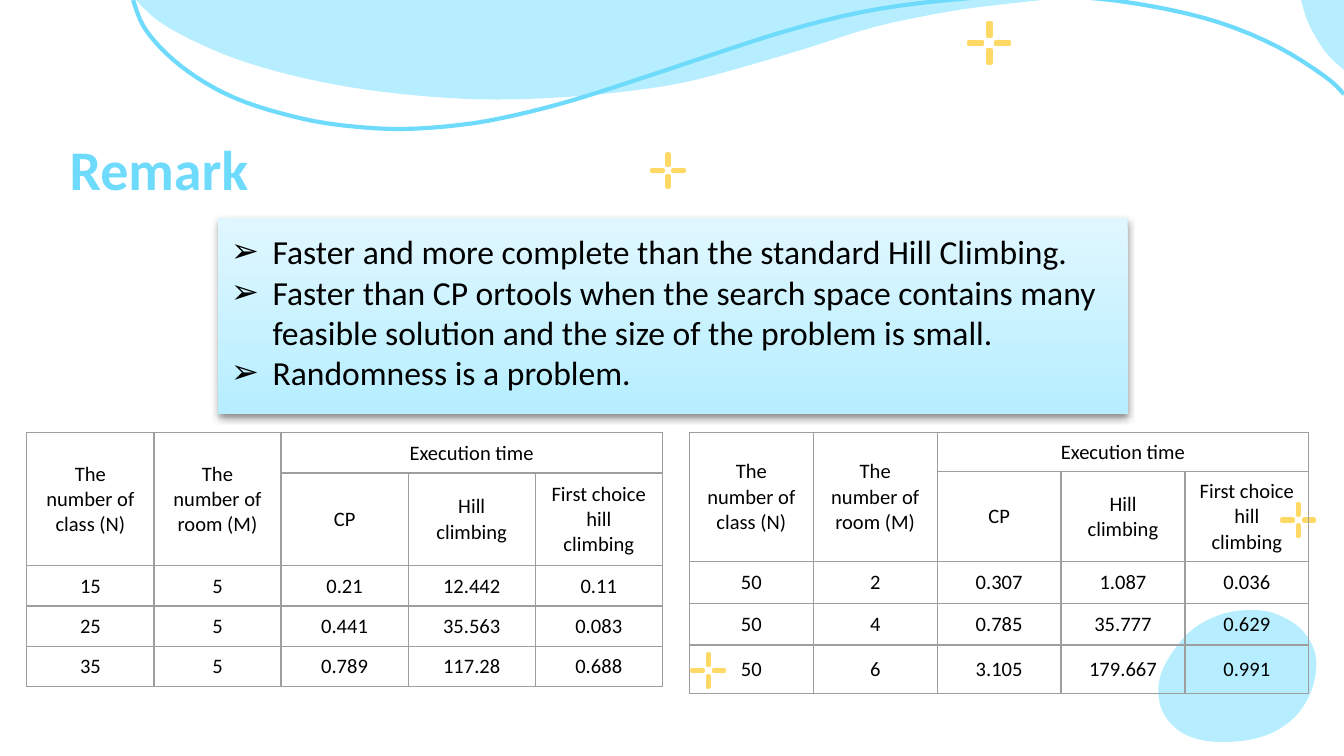
"""Build the "Remark" slide: key findings above two execution-time tables."""
from dataclasses import dataclass

import lxml.etree
import pptx
import pptx.dml.color
import pptx.enum.shapes
import pptx.enum.text
import pptx.oxml
import pptx.oxml.ns
import pptx.util

Inches = pptx.util.Inches
Pt = pptx.util.Pt
qn = pptx.oxml.ns.qn
MIDDLE = pptx.enum.text.MSO_ANCHOR.MIDDLE
CENTER = pptx.enum.text.PP_ALIGN.CENTER
RECTANGLE = pptx.enum.shapes.MSO_SHAPE.RECTANGLE
NS = 'xmlns:a="http://schemas.openxmlformats.org/drawingml/2006/main"'
Points = list[tuple[float, float]]
FONT, PALE, SKY, YELLOW = "Calibri", "B6EEFF", "6EDBFC", "FFD966"


@dataclass
class Sparkle:
    x: float
    y: float
    inner: float
    outer: float
    thickness: float


@dataclass
class TimeTable:
    left: float
    width: float
    row_heights: list[float]
    rows: list[list[str]]


CORNER = [(9.68, 0), (9.73, 0.16), (9.81, 0.31), (9.89, 0.42), (10, 0.52)]
BAND = [(1.01, 0), (1.17, 0.15), (1.41, 0.29), (1.76, 0.44), (2.17, 0.56), (2.61, 0.65),
        (3.09, 0.71), (3.58, 0.74), (4.08, 0.73), (4.58, 0.69), (5.06, 0.62), (5.49, 0.51),
        (6, 0.36), (6.51, 0.2), (7.04, 0.09), (7.4, 0.04), (7.76, 0)]
WAVE = [(0.99, 0), (1.07, 0.2), (1.24, 0.4), (1.47, 0.58), (1.75, 0.73), (2.08, 0.84),
        (2.45, 0.92), (2.94, 0.96), (3.42, 0.93), (3.82, 0.86), (4.28, 0.74), (4.84, 0.56),
        (5.29, 0.41), (5.85, 0.23), (6.41, 0.09), (6.96, 0.01), (7.52, -0.03),
        (8.06, -0.02), (8.59, 0.05), (9.08, 0.17), (9.51, 0.35), (9.86, 0.57), (10, 0.7)]
BLOB = [(9.47, 4.56), (9.28, 4.54), (9.09, 4.57), (8.89, 4.67), (8.74, 4.83), (8.64, 5.01),
        (8.62, 5.18), (8.67, 5.33), (8.79, 5.45), (8.96, 5.51), (9.14, 5.52), (9.32, 5.5),
        (9.49, 5.44), (9.64, 5.33), (9.74, 5.18), (9.79, 5.01), (9.78, 4.84), (9.67, 4.67)]
SPARKLES = [Sparkle(7.36, 0.32, 0.05, 0.15, 0.02)] + [
    Sparkle(x, y, 0.04, 0.12, 0.01) for x, y in [(4.97, 1.27), (5.27, 4.99), (9.66, 3.87)]]
REMARKS = [
    "Faster and more complete than the standard Hill Climbing.",
    "Faster than CP ortools when the search space contains many feasible solution "
    "and the size of the problem is small.",
    "Randomness is a problem.",
]
HEADER = [["The number of class (N)", "The number of room (M)", "Execution time", "", ""],
          ["", "", "CP", "Hill climbing", "First choice hill climbing"]]
TABLES = [
    TimeTable(0.2, 4.73, [0.3, 0.69, 0.3, 0.3, 0.3],
              [["15", "5", "0.21", "12.442", "0.11"],
               ["25", "5", "0.441", "35.563", "0.083"],
               ["35", "5", "0.789", "117.28", "0.688"]]),
    TimeTable(5.13, 4.61, [0.29, 0.67, 0.31, 0.31, 0.36],
              [["50", "2", "0.307", "1.087", "0.036"],
               ["50", "4", "0.785", "35.777", "0.629"],
               ["50", "6", "3.105", "179.667", "0.991"]]),
]


def rgb(value: str) -> pptx.dml.color.RGBColor:
    return pptx.dml.color.RGBColor.from_string(value)


def smooth(points: Points, closed: bool = False, steps: int = 4) -> Points:
    ends = (points[-1:], points[:2]) if closed else (points[:1], points[-1:])
    knots = ends[0] + points + ends[1]
    curve = [points[0]]
    for a, b, c, d in zip(knots, knots[1:], knots[2:], knots[3:]):
        for t in (i / steps for i in range(1, steps + 1)):
            curve.append(tuple(
                b[k] + t * (c[k] - a[k]) / 2
                + t ** 2 * (2 * a[k] - 5 * b[k] + 4 * c[k] - d[k]) / 2
                + t ** 3 * (3 * b[k] - a[k] - 3 * c[k] + d[k]) / 2 for k in (0, 1)))
    return curve


def add_outline(shapes, points: Points, fill: str | None = None, line: str | None = None) -> None:
    (x, y), *rest = [(Inches(px), Inches(py)) for px, py in points]
    builder = shapes.build_freeform(x, y)
    builder.add_line_segments(rest, close=fill is not None)
    paint(builder.convert_to_shape(), fill, line)


def paint(s, fill: str | None, line: str | None) -> None:
    s.shadow.inherit = False
    if fill:
        s.fill.solid()
        s.fill.fore_color.rgb = rgb(fill)
    else:
        s.fill.background()
    if line:
        s.line.color.rgb = rgb(line)
        s.line.width = Pt(2.25)
    else:
        s.line.fill.background()


def add_sparkle(shapes, sparkle: Sparkle) -> None:
    group = shapes.add_group_shape().shapes
    length, half = sparkle.outer - sparkle.inner, sparkle.thickness / 2
    for start in (-sparkle.outer, sparkle.inner):
        for x, y, w, h in [(start, -half, length, 2 * half), (-half, start, 2 * half, length)]:
            s = group.add_shape(RECTANGLE, Inches(sparkle.x + x), Inches(sparkle.y + y),
                                Inches(w), Inches(h))
            paint(s, "FFFFFF", YELLOW)


def format_runs(p, size: float, color: str, bold: bool = False) -> None:
    for r in p.runs:
        r.font.name, r.font.size, r.font.bold = FONT, Pt(size), bold
        r.font.color.rgb = rgb(color)


def set_insets(tf) -> None:
    tf.word_wrap = True
    tf.margin_left = tf.margin_right = tf.margin_top = tf.margin_bottom = Inches(0.1)


def add_title(shapes, text: str) -> None:
    tf = shapes.add_textbox(Inches(0.42), Inches(0.65), Inches(7.76), Inches(0.95)).text_frame
    set_insets(tf)
    tf.vertical_anchor = pptx.enum.text.MSO_ANCHOR.BOTTOM
    tf.text = text
    format_runs(tf.paragraphs[0], 30, SKY, bold=True)


def add_remarks(shapes, remarks: list[str]) -> None:
    s = shapes.add_shape(RECTANGLE, Inches(1.62), Inches(1.62), Inches(6.77), Inches(1.46))
    paint(s, None, None)
    s.fill.gradient()
    s.fill.gradient_angle = 270
    for stop, color in zip(s.fill.gradient_stops, ("E0F7FF", PALE)):
        stop.color.rgb = rgb(color)
    s._element.spPr.find(qn("a:effectLst")).append(pptx.oxml.parse_xml(
        f'<a:outerShdw {NS} blurRad="50000" dist="25000" dir="5400000" rotWithShape="0">'
        '<a:srgbClr val="000000"><a:alpha val="45000"/></a:srgbClr></a:outerShdw>'))
    tf = s.text_frame
    set_insets(tf)
    tf.vertical_anchor = pptx.enum.text.MSO_ANCHOR.TOP
    tf.text = "\n".join(remarks)
    for p in tf.paragraphs:
        p.alignment = pptx.enum.text.PP_ALIGN.LEFT
        format_runs(p, 18, "000000")
        pPr = p._p.get_or_add_pPr()
        pPr.set("marL", str(Inches(0.31)))
        pPr.set("indent", str(Inches(-0.31)))
        color = lxml.etree.SubElement(pPr, qn("a:buClr"))
        lxml.etree.SubElement(color, qn("a:srgbClr"), val="000000")
        lxml.etree.SubElement(pPr, qn("a:buFont"), typeface=FONT)
        lxml.etree.SubElement(pPr, qn("a:buChar"), char="➢")


def format_cell(cell, text: str) -> None:
    cell.text = text
    cell.vertical_anchor = MIDDLE
    cell.fill.background()
    p = cell.text_frame.paragraphs[0]
    p.alignment = CENTER
    format_runs(p, 11, "000000")
    for i, side in enumerate(("lnL", "lnR", "lnT", "lnB")):
        cell._tc.get_or_add_tcPr().insert(i, pptx.oxml.parse_xml(
            f'<a:{side} {NS} w="{Pt(0.75)}"><a:solidFill><a:srgbClr val="9E9E9E"/>'
            f'</a:solidFill></a:{side}>'))


def add_time_table(shapes, spec: TimeTable) -> None:
    rows = HEADER + spec.rows
    table = shapes.add_table(len(rows), len(rows[0]), Inches(spec.left), Inches(3.22),
                             Inches(spec.width), Inches(sum(spec.row_heights))).table
    table.first_row = table.horz_banding = False
    for row, height in zip(table.rows, spec.row_heights):
        row.height = Inches(height)
    for i, texts in enumerate(rows):
        for j, text in enumerate(texts):
            format_cell(table.cell(i, j), text)
    for first, last in [((0, 0), (1, 0)), ((0, 1), (1, 1)), ((0, 2), (0, 4))]:
        table.cell(*first).merge(table.cell(*last))


def main() -> None:
    prs = pptx.Presentation()
    prs.slide_width = Inches(10)
    prs.slide_height = prs.slide_width * 9 // 16
    shapes = prs.slides.add_slide(prs.slide_layouts[6]).shapes
    add_outline(shapes, smooth(CORNER) + [(10, 0)], fill=PALE)
    add_outline(shapes, smooth(BAND), fill=PALE)
    add_outline(shapes, smooth(WAVE), line=SKY)
    add_remarks(shapes, REMARKS)
    for sparkle in SPARKLES:
        add_sparkle(shapes, sparkle)
    add_outline(shapes, smooth(BLOB, closed=True), fill=PALE)
    add_title(shapes, "Remark")
    for table in TABLES:
        add_time_table(shapes, table)
    prs.save("out.pptx")


if __name__ == "__main__":
    main()
